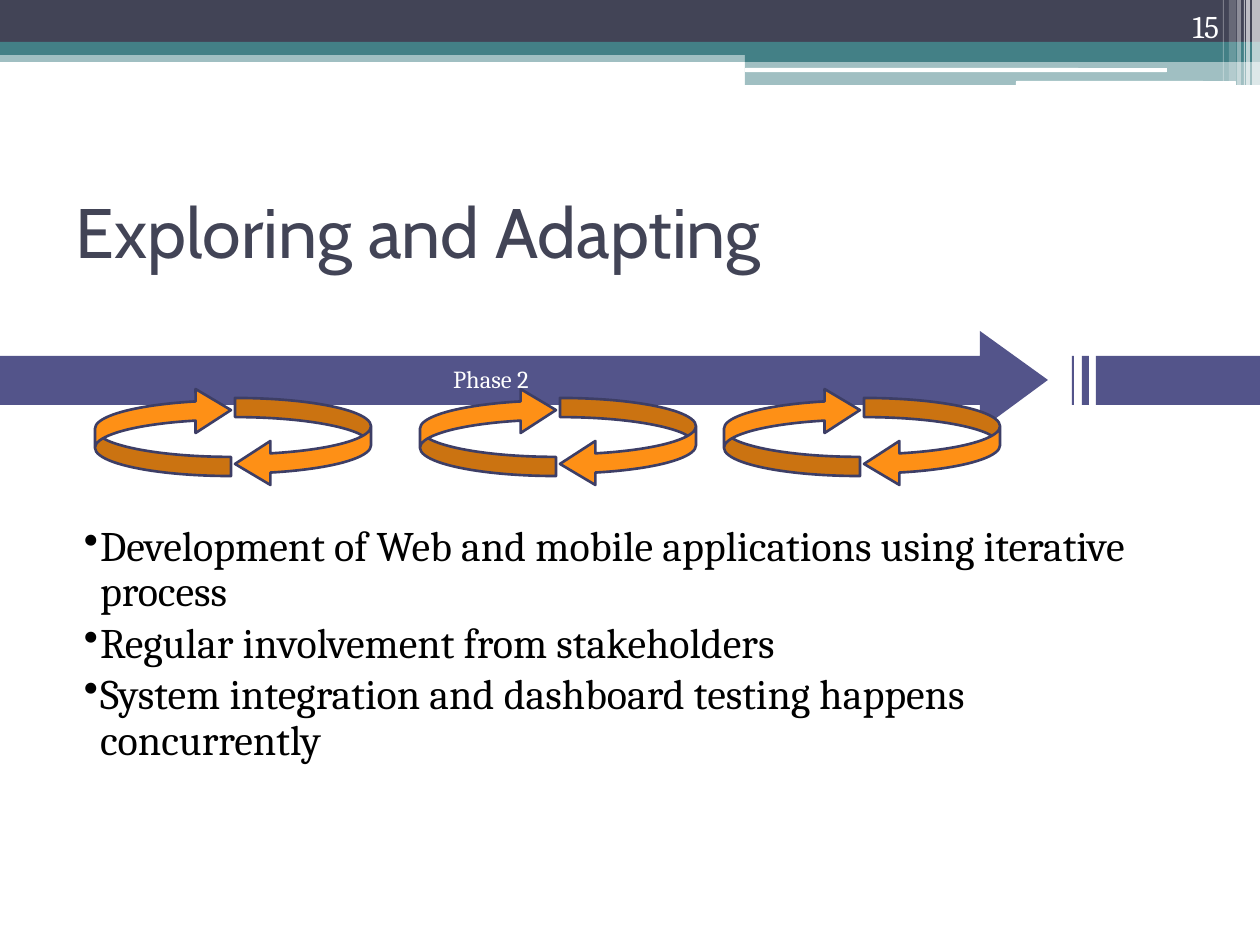
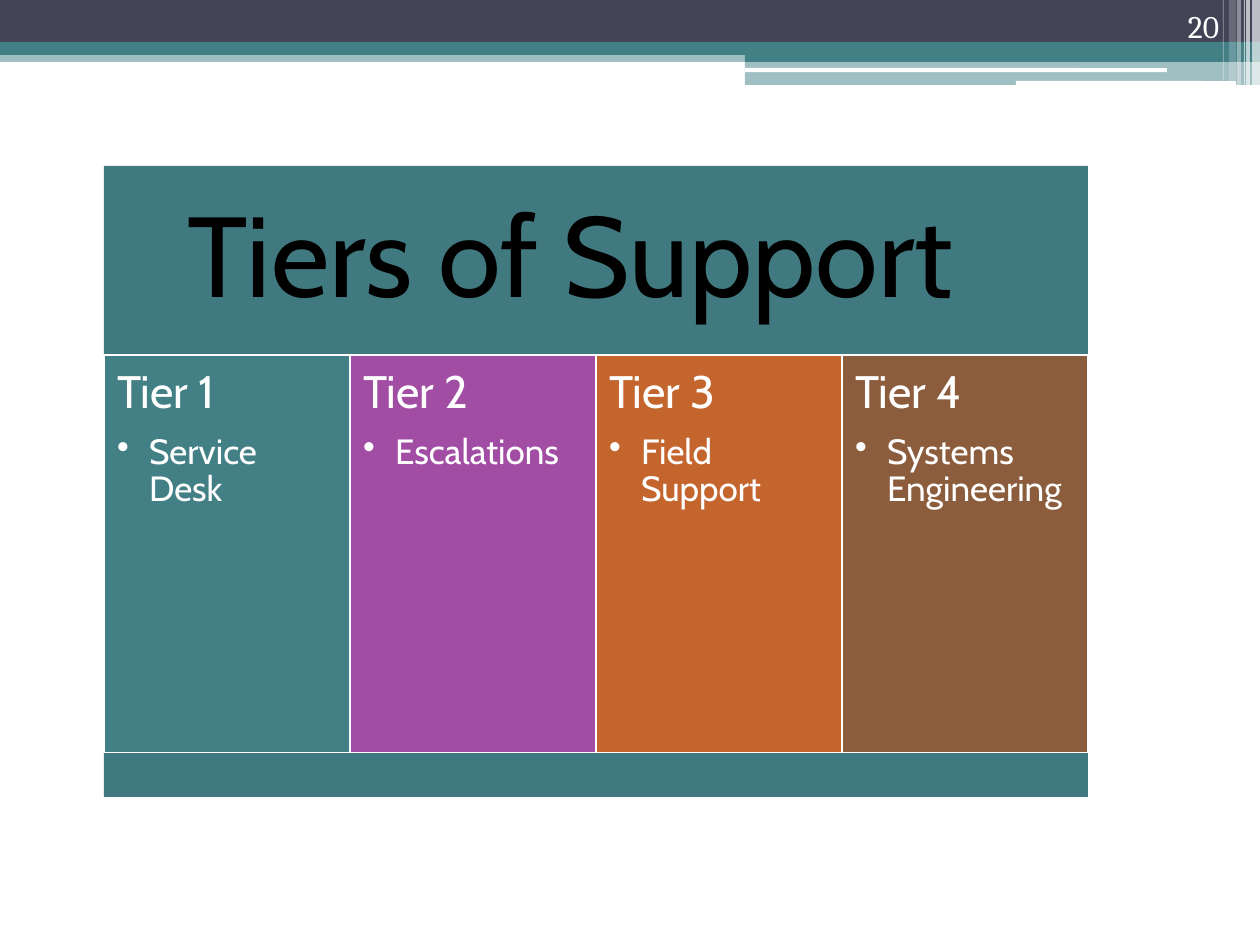
from dataclasses import dataclass

from lxml import etree
from pptx import Presentation
from pptx.dml.color import RGBColor
from pptx.enum.shapes import MSO_SHAPE
from pptx.enum.text import MSO_ANCHOR, PP_ALIGN
from pptx.oxml.ns import qn
from pptx.util import Pt

RECT = MSO_SHAPE.RECTANGLE
ROUND = MSO_SHAPE.ROUNDED_RECTANGLE
CURVE = MSO_SHAPE.CURVED_DOWN_ARROW
TOP, MID, LOW = MSO_ANCHOR.TOP, MSO_ANCHOR.MIDDLE, MSO_ANCHOR.BOTTOM
LEFT, MIDDLE, RIGHT = PP_ALIGN.LEFT, PP_ALIGN.CENTER, PP_ALIGN.RIGHT
SCALE = 914400 / 126
WIDE, HIGH = 1260, 945


@dataclass(frozen=True)
class Theme:
    head: str = "Cabin"
    body: str = "Cambria"
    white: str = "FFFFFF"
    black: str = "000000"
    dark: str = "424456"
    teal: str = "438086"
    panel: str = "407A80"
    phase: str = "53548A"
    loop: str = "FE9016"
    edge: str = "3D3E66"
    tiers: tuple = ("438086", "A04DA3", "C4652D", "8B5D3D")
    title: int = 40
    banner: int = 65
    tier: int = 26
    item: int = 20
    point: int = 24
    number: int = 18
    label: int = 14
    stroke: float = 1.5


def px(size):
    return round(size * SCALE)


class Deck:
    def __init__(self, theme):
        self.theme = theme
        self.file = Presentation()
        self.file.slide_width, self.file.slide_height = px(WIDE), px(HIGH)

    def slide(self, number):
        t = self.theme
        self.shapes = self.file.slides.add_slide(self.file.slide_layouts[6]).shapes
        self.shape((0, 50, WIDE, 12), t.teal, alpha=50)
        self.shape((0, 0, WIDE, 42), t.dark)
        self.shape((0, 42, WIDE, 13), t.teal)
        self.shape((745, 49, 515, 13), t.teal)
        self.shape((745, 62, 515, 23), t.teal, alpha=50)
        for box in ((745, 68, 422, 4), (1016, 81, 220, 5)):
            self.shape(box, t.white, kind=ROUND)
        for x, w, h, alpha in (
            (1252, 8, 85, 65), (1246, 4, 85, 65), (1244, 1, 85, 60),
            (1237, 4, 85, 40), (1229, 7, 81, 20), (1223, 1, 81, 30),
        ):
            self.shape((x, 0, w, h), t.white, alpha=alpha)
        frame = self.text((1127, 1, 105, 50), LOW)
        self.para(frame, str(number), t.number, t.body, t.white, RIGHT)

    def paint(self, shape, fill, line=None, alpha=None):
        shape.shadow.inherit = False
        shape.fill.solid()
        shape.fill.fore_color.rgb = RGBColor.from_string(fill)
        if alpha:
            color = shape.fill._xPr.find(".//" + qn("a:srgbClr"))
            etree.SubElement(color, qn("a:alpha"), val=str(alpha * 1000))
        if line:
            shape.line.color.rgb = RGBColor.from_string(line)
            shape.line.width = Pt(self.theme.stroke)
        else:
            shape.line.fill.background()
        return shape

    def shape(self, box, fill, line=None, alpha=None, kind=RECT):
        shape = self.shapes.add_shape(kind, *map(px, box))
        return self.paint(shape, fill, line, alpha)

    def free(self, paths, fill):
        pen = self.shapes.build_freeform(*paths[0][0], scale=SCALE)
        for index, path in enumerate(paths):
            if index:
                pen.move_to(*path[0])
            pen.add_line_segments(path[1:], close=True)
        return self.paint(pen.convert_to_shape(), fill)

    def curve(self, x, y, turn):
        t = self.theme
        arrow = self.shape((x, y, 88, 136), t.loop, t.edge, kind=CURVE)
        arrow.rotation = turn
        for index, value in enumerate((0.218, 0.831, 0.402)):
            arrow.adjustments[index] = value

    def frame(self, shape, anchor=TOP, pads=(13, 6, 13, 6)):
        frame = shape.text_frame
        frame.word_wrap = True
        frame.vertical_anchor = anchor
        (frame.margin_left, frame.margin_top,
         frame.margin_right, frame.margin_bottom) = map(px, pads)
        return frame

    def text(self, box, anchor=TOP, pads=(13, 6, 13, 6)):
        return self.frame(self.shapes.add_textbox(*map(px, box)), anchor, pads)

    def para(self, frame, words, size, face, color, align=LEFT,
             after=0, space=1, hang=0):
        para = frame.paragraphs[0]
        if para.runs:
            para = frame.add_paragraph()
        para.add_run().text = words
        para.alignment = align
        para.line_spacing = space
        para.space_after = Pt(after)
        if hang:
            props = para._p.get_or_add_pPr()
            props.set("marL", str(px(hang)))
            props.set("indent", str(-px(hang)))
            etree.SubElement(props, qn("a:buChar"), char="•")
        font = para.font
        font.size, font.name = Pt(size), face
        font.color.rgb = RGBColor.from_string(color)


def explore(deck):
    t = deck.theme
    deck.slide(15)
    title = deck.text((63, 157, 1134, 147), MID)
    deck.para(title, "Exploring and Adapting", t.title, t.head, t.dark)

    top, base = 356, 405
    arrow = deck.free([[(0, top), (980, top), (980, 331), (1048, 380),
                        (980, 430), (980, base), (0, base)]], t.phase)
    label = deck.frame(arrow, MID, (0, 29, 66, 29))
    deck.para(label, "Phase 2", t.label, t.body, t.white, MIDDLE, space=0.9)

    points = deck.text((84, 525, 1079, 305), pads=(0, 0, 0, 0))
    for words in (
        "Development of Web and mobile applications using iterative process",
        "Regular involvement from stakeholders",
        "System integration and dashboard testing happens concurrently",
    ):
        deck.para(points, words, t.point, t.body, t.black,
                  after=3.6, space=0.9, hang=16)

    deck.free([[(x, top), (end, top), (end, base), (x, base)]
               for x, end in ((1072, 1074), (1082, 1089), (1096, WIDE))], t.phase)
    for x in (444, 119, 748):
        deck.curve(x, 364, 270)
        deck.curve(x + 140, 374, 90)


def support(deck):
    t = deck.theme
    deck.slide(20)
    left, step = 104, 246
    full = step * len(t.tiers)
    banner = deck.shape((left, 166, full, 189), t.panel)
    frame = deck.frame(banner, MID, (34, 34, 85, 34))
    deck.para(frame, "Tiers of Support", t.banner, t.head, t.black, MIDDLE, space=0.9)
    jobs = ("Service Desk", "Escalations", "Field Support", "Systems Engineering")
    for index, (fill, job) in enumerate(zip(t.tiers, jobs)):
        card = deck.shape((left + index * step, 355, step, 398), fill, t.white)
        frame = deck.frame(card, pads=(13, 14, 13, 14))
        deck.para(frame, f"Tier {index + 1}", t.tier, t.head, t.white,
                  after=9, space=0.9)
        deck.para(frame, job, t.item, t.head, t.white,
                  after=3, space=0.9, hang=32)
    deck.shape((left, 753, full, 44), t.panel)


def main():
    deck = Deck(Theme())
    explore(deck)
    support(deck)
    deck.file.save("out.pptx")


if __name__ == "__main__":
    main()
